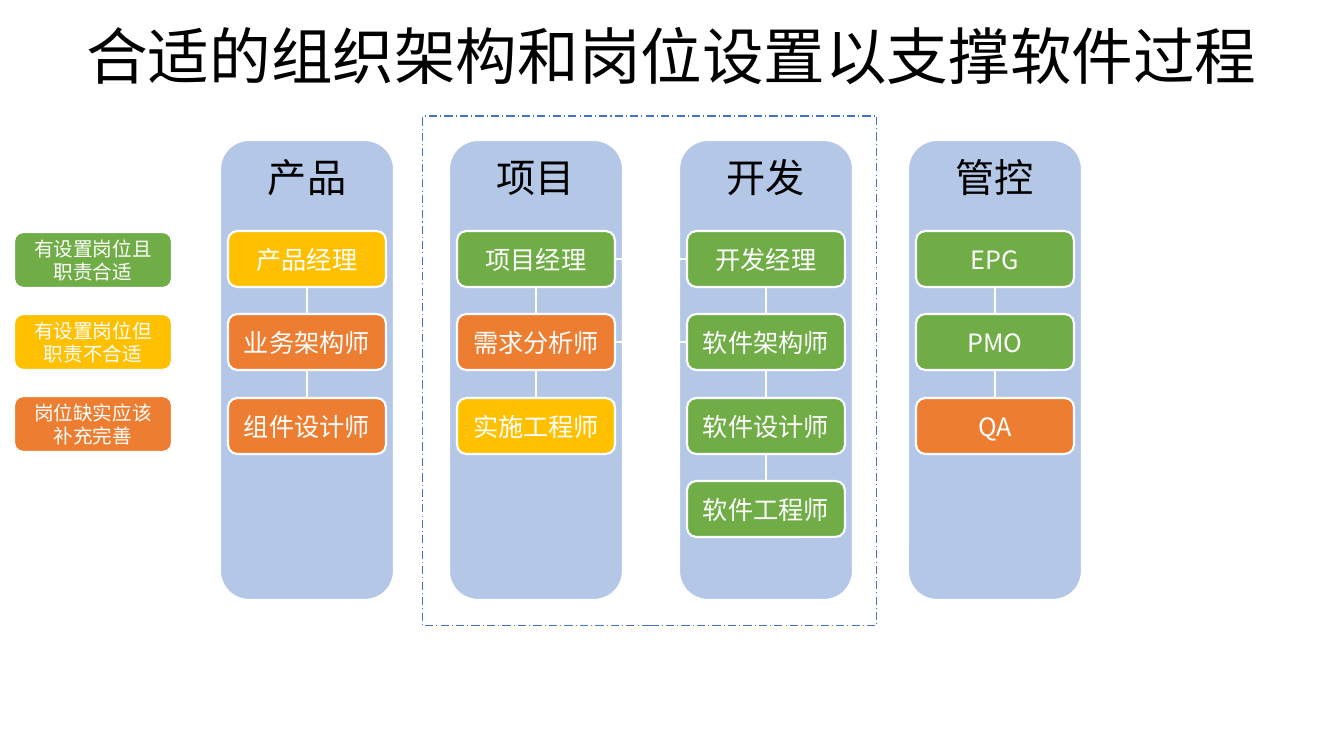
from lxml.etree import SubElement
from pptx import Presentation
from pptx.dml.color import RGBColor
from pptx.enum.dml import MSO_LINE
from pptx.enum.shapes import MSO_CONNECTOR, MSO_SHAPE
from pptx.enum.text import MSO_ANCHOR, PP_ALIGN
from pptx.oxml.ns import qn
from pptx.util import Pt

PX = 914400 / 100.8
FONT = "Noto Sans CJK SC"
COLORS = {
    "black": "000000",
    "white": "FFFFFF",
    "frame": "4472C4",
    "column": "B4C7E7",
    "suitable": "70AD47",
    "unsuitable": "FFC000",
    "missing": "ED7D31",
}
RGB = {key: RGBColor.from_string(value) for key, value in COLORS.items()}


def write(shape, text, size, color, anchor):
    frame = shape.text_frame
    for attribute, value in {"text": text, "word_wrap": True, "vertical_anchor": anchor}.items():
        setattr(frame, attribute, value)
    paragraph = frame.paragraphs[0]
    paragraph.alignment = PP_ALIGN.CENTER
    run = paragraph.runs[0]
    for attribute, value in {"size": Pt(size), "name": FONT, "bold": False}.items():
        setattr(run.font, attribute, value)
    run.font.color.rgb = RGB[color]
    SubElement(run.font._element, qn("a:ea")).set("typeface", FONT)
    return paragraph


def add_box(left, top, width, height, fill, text, size, color="white", anchor=MSO_ANCHOR.MIDDLE):
    box = slide.shapes.add_shape(
        MSO_SHAPE.ROUNDED_RECTANGLE, *[round(v * PX) for v in (left, top, width, height)])
    box.shadow.inherit = False
    box.fill.solid()
    box.fill.fore_color.rgb = RGB[fill]
    box.line.color.rgb = RGB["white"]
    box.line.width = Pt(1.5)
    write(box, text, size, color, anchor)


prs = Presentation()
prs.slide_width, prs.slide_height = round(1344 * PX), round(756 * PX)
slide = prs.slides.add_slide(prs.slide_layouts[5])

title = slide.shapes.title
title_place = {"left": 0, "top": 21, "width": 1344, "height": 78}
for attribute, value in title_place.items():
    setattr(title, attribute, round(value * PX))
heading = write(title, "合适的组织架构和岗位设置以支撑软件过程", 44, "black", MSO_ANCHOR.MIDDLE)
heading.line_spacing = 0.9

project_frame = slide.shapes.add_shape(
    MSO_SHAPE.RECTANGLE, *[round(v * PX) for v in (423, 116, 454, 510)])
project_frame.shadow.inherit = False
project_frame.fill.background()
project_frame.line.color.rgb = RGB["frame"]
project_frame.line.width = Pt(0.75)
project_frame.line.dash_style = MSO_LINE.LONG_DASH_DOT

ROLE_W, ROLE_H = 158, 56
departments = {
    "产品": [("产品经理", "unsuitable"), ("业务架构师", "missing"), ("组件设计师", "missing")],
    "项目": [("项目经理", "suitable"), ("需求分析师", "missing"), ("实施工程师", "unsuitable")],
    "开发": [("开发经理", "suitable"), ("软件架构师", "suitable"),
           ("软件设计师", "suitable"), ("软件工程师", "suitable")],
    "管控": [("EPG", "suitable"), ("PMO", "suitable"), ("QA", "missing")],
}
column_lefts = [220 + 459 * i // 2 for i in range(4)]
role_lefts = [left + 8 for left in column_lefts]
role_tops = [231 + 167 * j // 2 for j in range(4)]

for left, department in zip(column_lefts, departments):
    add_box(left, 140, 174, 460, "column", department, 28, "black", MSO_ANCHOR.TOP)

links = [(role_lefts[1] + ROLE_W, top + ROLE_H // 2, role_lefts[2], top + ROLE_H // 2)
         for top in role_tops[:2]]
for left, roles in zip(role_lefts, departments.values()):
    center = left + ROLE_W // 2
    for top, (role, status) in zip(role_tops, roles):
        add_box(left, top, ROLE_W, ROLE_H, status, role, 18)
    for upper, lower in zip(role_tops, role_tops[1:len(roles)]):
        links.append((center, upper + ROLE_H, center, lower))

for ends in links:
    link = slide.shapes.add_connector(MSO_CONNECTOR.STRAIGHT, *[round(v * PX) for v in ends])
    link.line.color.rgb = RGB["white"]
    link.line.width = Pt(1.5)
    SubElement(link._element.spPr, qn("a:effectLst"))

legend = {
    "suitable": "有设置岗位且职责合适",
    "unsuitable": "有设置岗位但职责不合适",
    "missing": "岗位缺实应该补充完善",
}
for row, (status, meaning) in enumerate(legend.items()):
    add_box(14, 232 + 82 * row, ROLE_W, ROLE_H, status, meaning, 14)

prs.save("out.pptx")
